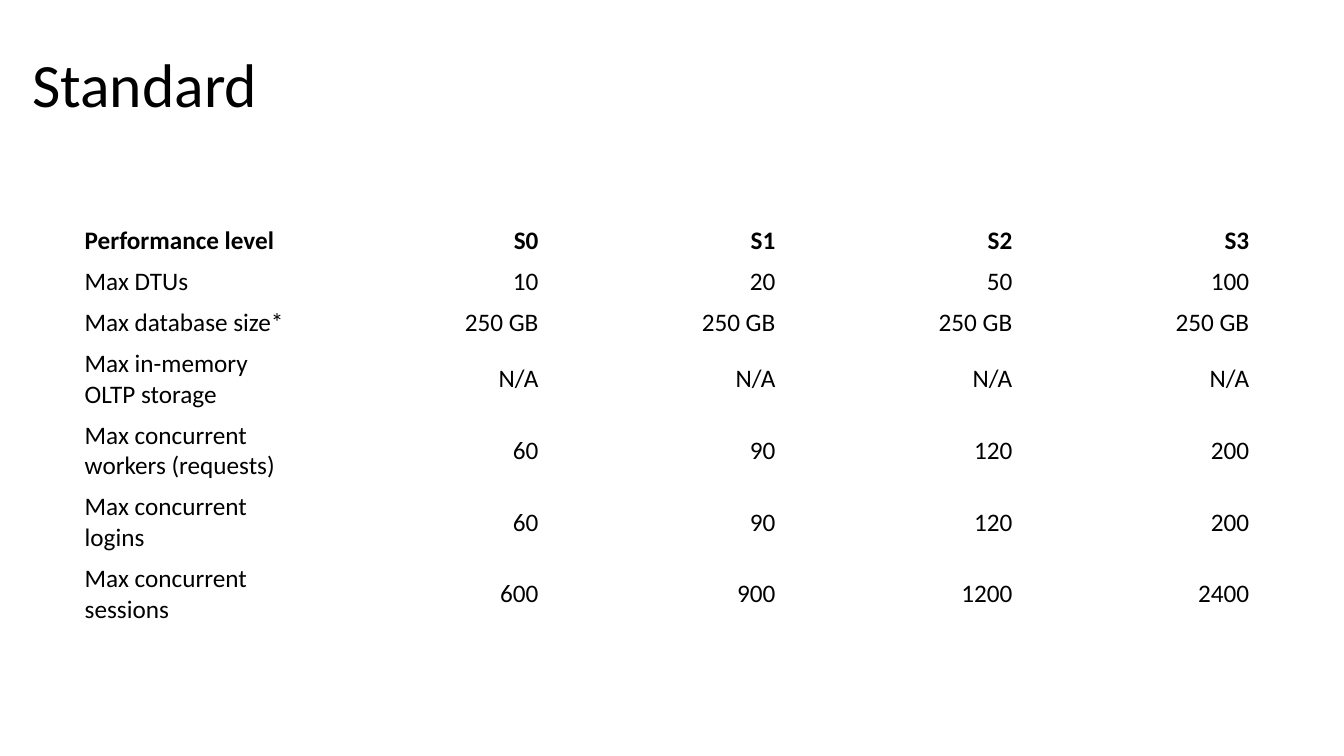
import pptx
import pptx.dml.color
import pptx.enum.text
from pptx.util import Inches

TITLE = "Standard"
LEVELS = [
    ("Performance level", "S0", "S1", "S2", "S3"),
    ("Max DTUs", "10", "20", "50", "100"),
    ("Max database size*", "250 GB", "250 GB", "250 GB", "250 GB"),
    ("Max in-memory OLTP storage", "N/A", "N/A", "N/A", "N/A"),
    ("Max concurrent workers (requests)", "60", "90", "120", "200"),
    ("Max concurrent logins", "60", "90", "120", "200"),
    ("Max concurrent sessions", "600", "900", "1200", "2400"),
]
TABLE_LEFT, TABLE_TOP = 0.74, 2.19
COLUMN_WIDTH = 2.35
ONE_LINE, TWO_LINES = 0.4, 0.71
ONE_LINE_ROWS = 3

ALIGN = pptx.enum.text.PP_ALIGN
MIDDLE = pptx.enum.text.MSO_ANCHOR.MIDDLE


def color(hex_code):
    return pptx.dml.color.RGBColor.from_string(hex_code)


def write(para, text, size, align, bold=False):
    para.alignment = align
    span = para.add_run()
    span.text = text
    span.font.name = "Calibri"
    span.font.size = pptx.util.Pt(size)
    span.font.bold = bold
    span.font.color.rgb = color("000000")


deck = pptx.Presentation()
deck.slide_width, deck.slide_height = Inches(13.33), Inches(7.5)
page = deck.slides.add_slide(deck.slide_layouts[5])

# Title
title = page.shapes.title
title.left, title.top = Inches(0.22), Inches(0.39)
title.width, title.height = Inches(12.88), Inches(0.96)
title.text_frame.vertical_anchor = MIDDLE
heading = title.text_frame.paragraphs[0]
heading.line_spacing = 0.9
write(heading, TITLE, 44, ALIGN.LEFT)

# Table of performance levels
heights = [ONE_LINE if row < ONE_LINE_ROWS else TWO_LINES for row in range(len(LEVELS))]
columns = len(LEVELS[0])
table = page.shapes.add_table(
    len(LEVELS), columns, Inches(TABLE_LEFT), Inches(TABLE_TOP),
    Inches(COLUMN_WIDTH * columns), Inches(sum(heights))).table
table.horz_banding = False
for column in table.columns:
    column.width = Inches(COLUMN_WIDTH)

for row, values in enumerate(LEVELS):
    table.rows[row].height = Inches(heights[row])
    for column, value in enumerate(values):
        cell = table.cell(row, column)
        cell.fill.background()
        cell.vertical_anchor = MIDDLE
        align = ALIGN.RIGHT if column else ALIGN.LEFT
        write(cell.text_frame.paragraphs[0], value, 18, align, bold=row == 0)

deck.save("out.pptx")
